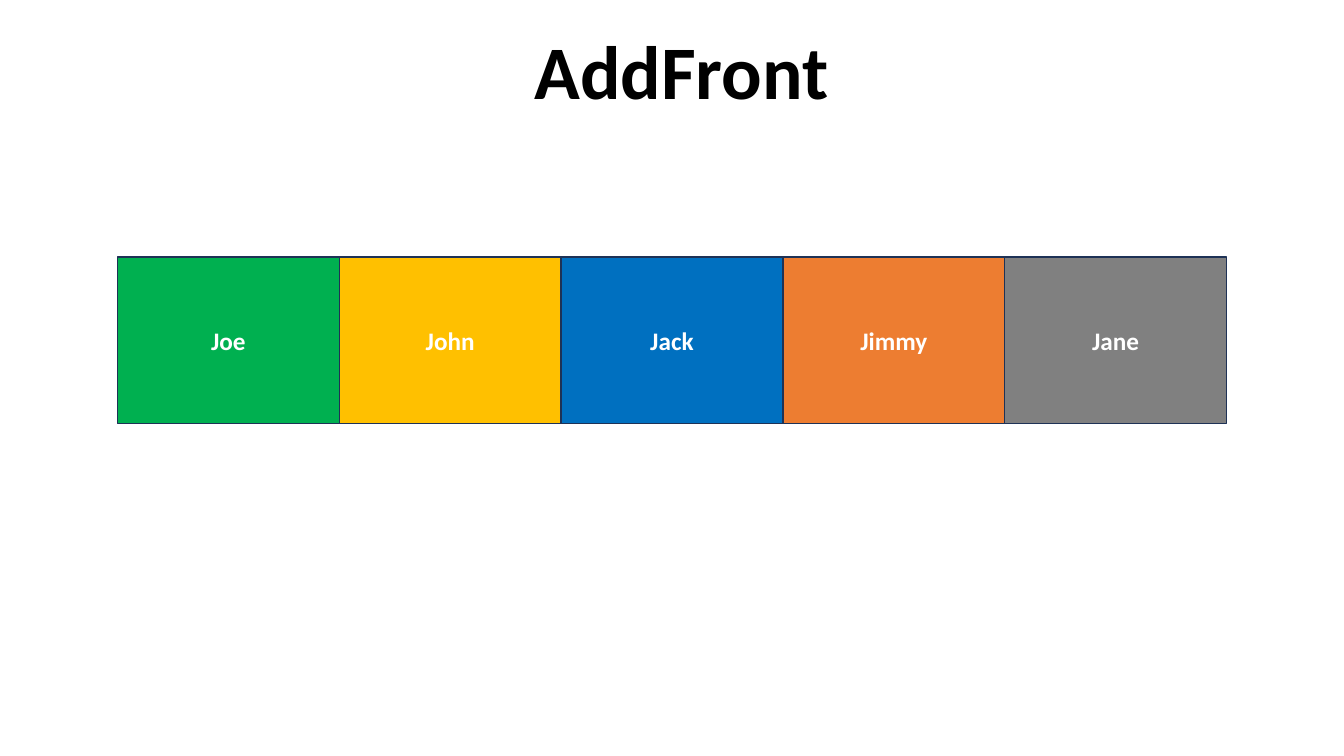
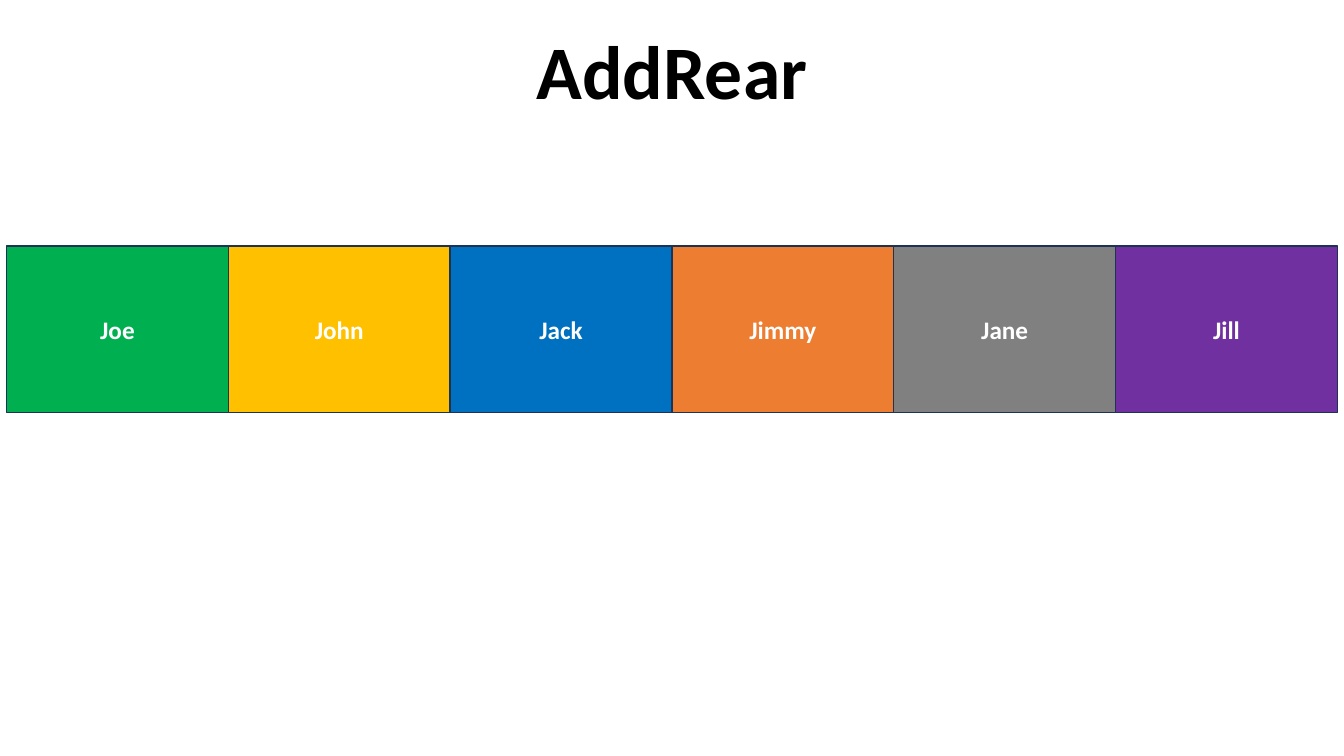
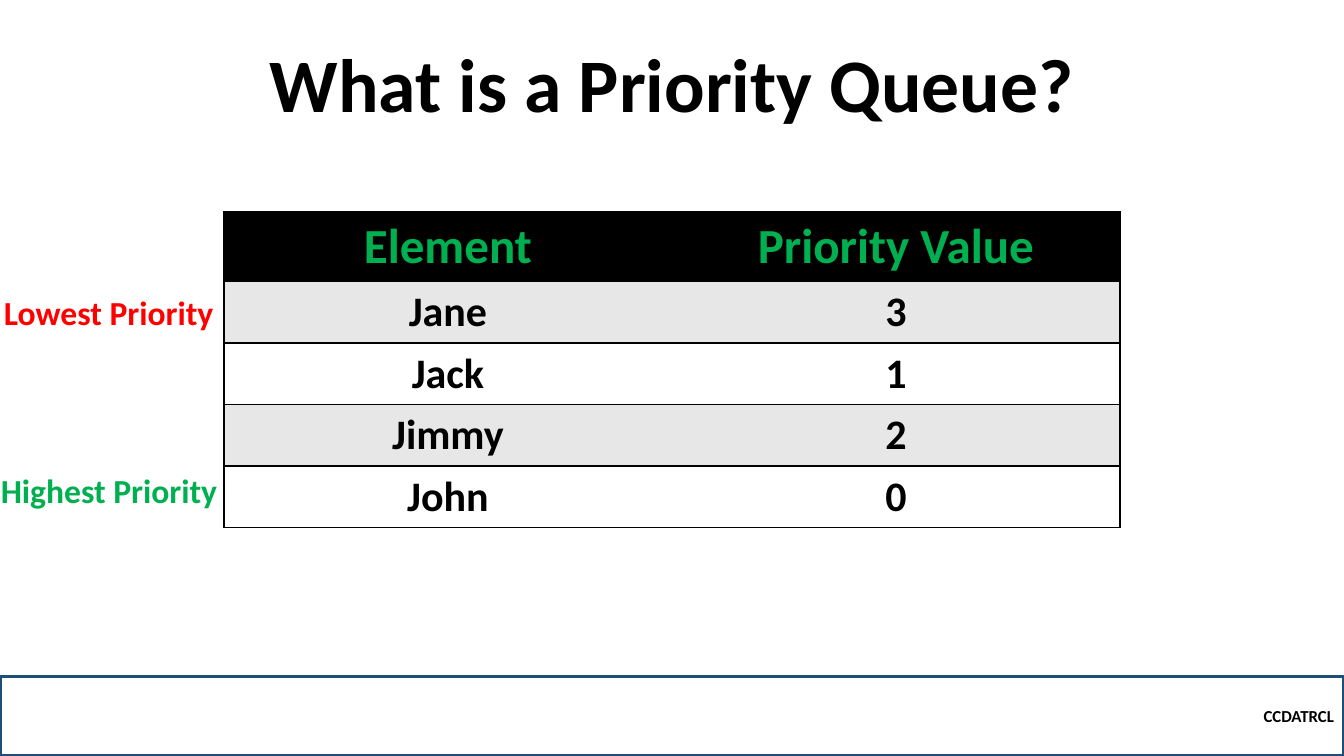
from lxml.etree import SubElement
from pptx import Presentation
from pptx.dml.color import RGBColor
from pptx.enum.shapes import MSO_SHAPE
from pptx.enum.text import MSO_ANCHOR, MSO_AUTO_SIZE, PP_ALIGN
from pptx.oxml.ns import qn
from pptx.util import Inches, Pt

WIDE, HIGH = 13.33, 7.5
FONT = "Calibri"
BLACK, WHITE, GREEN, RED = "000000", "FFFFFF", "00B050", "FF0000"
STRIPE, EDGE, NAVY = "E7E7E7", "1E3256", "1F4E79"
NO_GRID = "{2D5ABB26-0587-4C30-8999-92F81FD0307C}"
BOX_W, BOX_H = 2.2, 1.65
QUEUE = [("Joe", GREEN), ("John", "FFC000"), ("Jack", "0070C0"),
         ("Jimmy", "ED7D31"), ("Jane", "808080")]
RANKS = [("Element", "Priority Value"), ("Jane", "3"), ("Jack", "1"),
         ("Jimmy", "2"), ("John", "0")]


def tint(code):
    return RGBColor.from_string(code)


def write(frame, text, size, color, align=PP_ALIGN.CENTER):
    frame.text = text
    para = frame.paragraphs[0]
    para.alignment = align
    font = para.font
    font.name, font.size, font.bold = FONT, Pt(size), True
    font.color.rgb = tint(color)
    return para


def add_slide(deck, text, left=(WIDE - 10) / 2, top=0.41):
    slide = deck.slides.add_slide(deck.slide_layouts[5])
    title = slide.shapes.title
    title.left, title.top = Inches(left), Inches(top)
    title.width, title.height = Inches(10), Inches(0.79)
    frame = title.text_frame
    frame.auto_size = MSO_AUTO_SIZE.NONE
    frame.vertical_anchor = MSO_ANCHOR.BOTTOM
    write(frame, text, 54, BLACK).line_spacing = 0.9
    return slide


def add_box(slide, area, fill, line, weight):
    box = slide.shapes.add_shape(MSO_SHAPE.RECTANGLE, *map(Inches, area))
    box.shadow.inherit = False
    if fill:
        box.fill.solid()
        box.fill.fore_color.rgb = tint(fill)
    else:
        box.fill.background()
    box.line.color.rgb = tint(line)
    box.line.width = Pt(weight)
    box.text_frame.vertical_anchor = MSO_ANCHOR.MIDDLE
    return box.text_frame


def add_queue(slide, people, top):
    """Draw a row of touching boxes, centred across the slide."""
    left = (WIDE - len(people) * BOX_W) / 2
    for i, (name, color) in enumerate(people):
        area = (left + i * BOX_W, top, BOX_W, BOX_H)
        write(add_box(slide, area, color, EDGE, 1), name, 18, WHITE)


def add_label(slide, text, left, top, width, color):
    box = slide.shapes.add_textbox(*map(Inches, (left, top, width, 0.5)))
    box.text_frame.word_wrap = False
    write(box.text_frame, text, 24, color, PP_ALIGN.LEFT)


def rule_cell(cell, sides):
    """Add black borders; call before the fill, which must follow them."""
    props = cell._tc.get_or_add_tcPr()
    for side in sides:
        line = SubElement(props, qn(f"a:ln{side}"), w=str(Pt(1)))
        fill = SubElement(line, qn("a:solidFill"))
        SubElement(fill, qn("a:srgbClr"), val=BLACK)


def add_ranks(slide, rows):
    width = WIDE * 2 / 3
    heights = [0.69] + [0.61] * (len(rows) - 1)
    area = ((WIDE - width) / 2, 2.1, width, sum(heights))
    frame = slide.shapes.add_table(len(rows), 2, *map(Inches, area))
    table = frame.table
    table._tbl.tblPr.find(qn("a:tableStyleId")).text = NO_GRID
    for r, row in enumerate(rows):
        table.rows[r].height = Inches(heights[r])
        if r == 0:
            fill, size, color = BLACK, 35, GREEN
        else:
            fill, size, color = (STRIPE if r % 2 else WHITE), 30, BLACK
        for c, text in enumerate(row):
            cell = table.cell(r, c)
            rule_cell(cell, ("LTB", "RTB")[c])
            cell.fill.solid()
            cell.fill.fore_color.rgb = tint(fill)
            write(cell.text_frame, text, size, color)


def add_footer(slide, text):
    band = add_box(slide, (0, HIGH - 0.79, WIDE, 0.79), None, NAVY, 2.25)
    write(band, text, 12, BLACK, PP_ALIGN.RIGHT)


def main():
    deck = Presentation()
    deck.slide_width, deck.slide_height = Inches(WIDE), Inches(HIGH)

    front = add_slide(deck, "AddFront", left=1.76)
    add_queue(front, QUEUE, 2.55)

    rear = add_slide(deck, "AddRear")
    add_queue(rear, QUEUE + [("Jill", "7030A0")], 2.44)

    ranks = add_slide(deck, "What is a Priority Queue?", top=0.54)
    add_footer(ranks, "CCDATRCL")
    add_ranks(ranks, RANKS)
    add_label(ranks, "Highest Priority", -0.09, 4.61, 2.37, GREEN)
    add_label(ranks, "Lowest Priority", -0.06, 2.85, 2.31, RED)

    deck.save("out.pptx")


if __name__ == "__main__":
    main()
